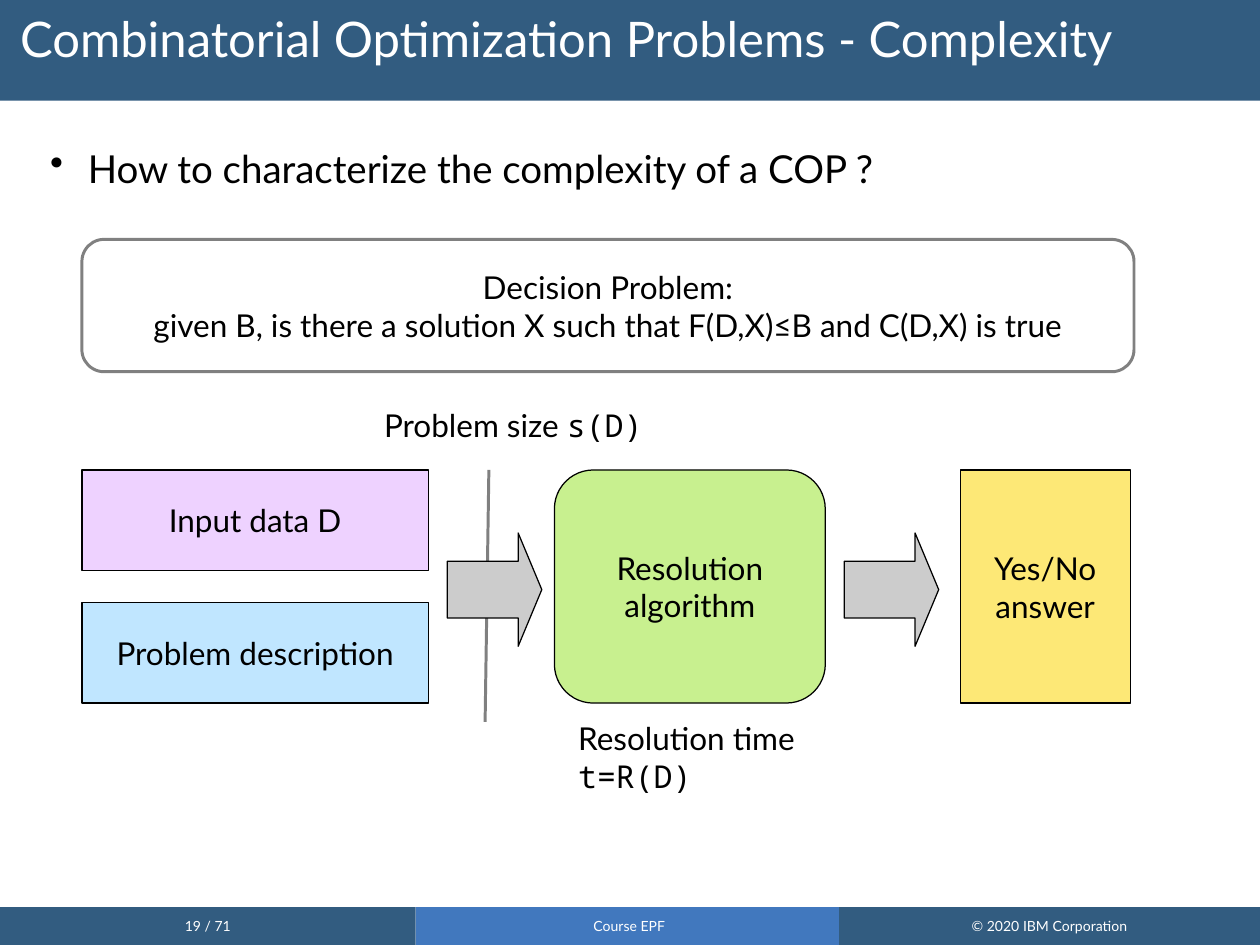
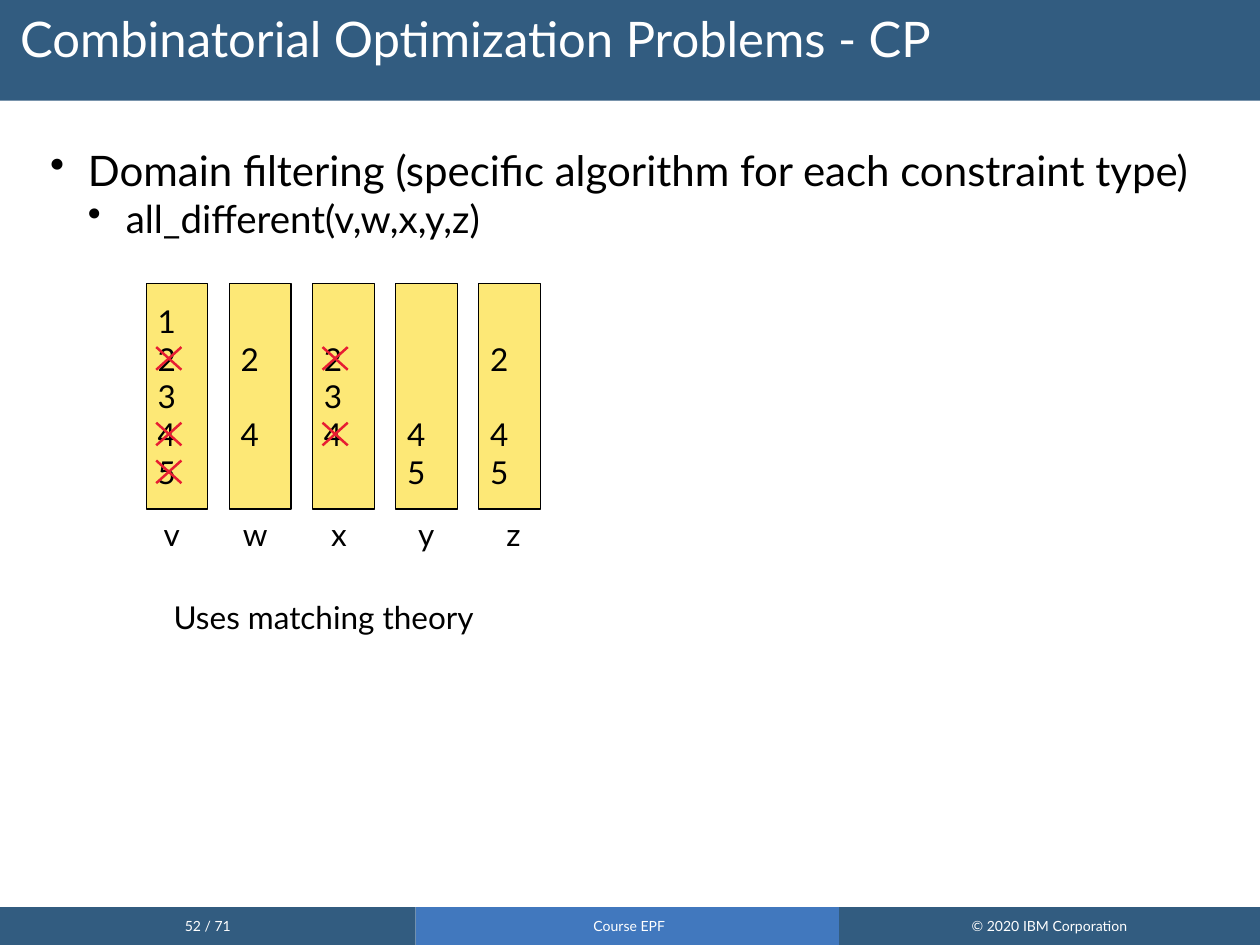
from dataclasses import dataclass

from lxml import etree
from pptx import Presentation
from pptx.dml.color import RGBColor
from pptx.enum.shapes import MSO_CONNECTOR, MSO_SHAPE
from pptx.enum.text import MSO_ANCHOR, MSO_AUTO_SIZE, PP_ALIGN
from pptx.oxml.ns import qn
from pptx.util import Inches, Pt


@dataclass(frozen=True)
class Theme:
    # Colours
    navy: str = "325C80"
    blue: str = "4178BE"
    white: str = "FFFFFF"
    black: str = "000000"
    grey: str = "808080"
    silver: str = "CCCCCC"
    lilac: str = "EED2FF"
    sky: str = "C0E6FF"
    green: str = "C8F08F"
    yellow: str = "FDE876"
    red: str = "E71D32"
    # Fonts and sizes
    font: str = "Lato"
    mono: str = "Noto Sans Mono"
    title: int = 28
    lead: int = 24
    bullet: int = 22
    body: int = 18
    footer: int = 8
    # Line widths
    thin: float = 0.71
    cross: float = 1.42
    thick: float = 1.7


T = Theme()
INSETS = (0.1, 0.05, 0.1, 0.05)


def rgb(colour):
    return RGBColor.from_string(colour)


def inches(box):
    return [Inches(v) for v in box]


def set_frame(tf, insets=INSETS, anchor=MSO_ANCHOR.TOP):
    tf.word_wrap = True
    tf.auto_size = MSO_AUTO_SIZE.NONE
    tf.vertical_anchor = anchor
    tf.margin_left, tf.margin_top, tf.margin_right, tf.margin_bottom = inches(insets)


def set_font(font, size=T.body, colour=T.black, name=T.font):
    font.size, font.name = Pt(size), name
    font.color.rgb = rgb(colour)


def write(tf, lines, size=T.body, colour=T.black, align=PP_ALIGN.LEFT):
    tf.text = "\n".join(lines)
    for p in tf.paragraphs:
        p.alignment = align
        set_font(p.font, size, colour)


def add_box(s, box, fill, lines=(), line=T.black, width=T.thin,
            kind=MSO_SHAPE.RECTANGLE, size=T.body, colour=T.black):
    sp = s.shapes.add_shape(kind, *inches(box))
    sp.shadow.inherit = False
    sp.fill.solid()
    sp.fill.fore_color.rgb = rgb(fill)
    if line:
        sp.line.color.rgb = rgb(line)
        sp.line.width = Pt(width)
    else:
        sp.line.fill.background()
    if lines:
        set_frame(sp.text_frame, anchor=MSO_ANCHOR.MIDDLE)
        write(sp.text_frame, lines, size, colour, PP_ALIGN.CENTER)
    return sp


def add_text(s, box, lines=()):
    tf = s.shapes.add_textbox(*inches(box)).text_frame
    set_frame(tf)
    write(tf, lines)
    return tf


def add_line(shapes, ends, colour, width):
    cn = shapes.add_connector(MSO_CONNECTOR.STRAIGHT, *inches(ends))
    cn.line.color.rgb = rgb(colour)
    cn.line.width = Pt(width)
    etree.SubElement(cn.element.spPr, qn("a:effectLst"))


def add_bullets(s, box, items):
    """Each item is (text, size); every item sits one level deeper."""
    tf = add_text(s, box, [text for text, _ in items])
    for level, (p, (_, size)) in enumerate(zip(tf.paragraphs, items)):
        p.level = level
        pPr = p._p.get_or_add_pPr()
        pPr.set("marL", str(Inches(0.3 * (level + 1))))
        pPr.set("indent", str(Inches(-0.3)))
        bullet = etree.Element(qn("a:buChar"), char="•")
        pPr.insert(0, bullet)
        set_font(p.font, size)


def add_slide(prs, title, number):
    s = prs.slides.add_slide(prs.slide_layouts[5])
    # Title on its band
    band = add_box(s, (-0.1, -0.1, 10.2, 0.9), T.navy, line=None)
    ph = s.shapes.title
    ph.element.addprevious(band.element)
    ph.left, ph.top, ph.width, ph.height = inches((0, 0, 10, 0.8))
    set_frame(ph.text_frame, (0.16, 0.12, 0.1, 0.05))
    write(ph.text_frame, [title], T.title, T.white)
    ph.text_frame.paragraphs[0].line_spacing = 0.9
    # Footer
    for left, width, fill, text in (
            (0, 3.3, T.navy, f"{number} / 71"),
            (3.3, 3.39, T.blue, "Course EPF"),
            (6.66, 3.34, T.navy, "© 2020 IBM Corporation")):
        add_box(s, (left, 7.2, width, 0.3), fill, [text], line=None,
                size=T.footer, colour=T.white)
    return s


def add_flow(s, left, top):
    """Inputs, algorithm and answer, joined by block arrows."""
    height = 1.85
    for i, (text, fill) in enumerate((("Input data D", T.lilac),
                                      ("Problem description", T.sky))):
        add_box(s, (left, top + 1.05 * i, 2.75, 0.8), fill, [text])
    add_box(s, (left + 3.75, top, 2.15, height), T.green,
            ["Resolution", "algorithm"], kind=MSO_SHAPE.ROUNDED_RECTANGLE)
    add_box(s, (left + 6.97, top, 1.35, height), T.yellow, ["Yes/No", "answer"])
    # Cut where the size is measured
    add_line(s.shapes, (left + 3.23, top, left + 3.2, top + 2), T.grey, T.thick)
    for x in (2.9, 6.05):
        arrow = add_box(s, (left + x, top + 0.5, 0.75, 0.9), T.silver,
                        kind=MSO_SHAPE.RIGHT_ARROW)
        arrow.adjustments[1] = 0.25
    # Captions
    p = add_text(s, (left + 2.3, top - 0.56, 2.33, 0.4), ["Problem size "]).paragraphs[0]
    r = p.add_run()
    r.text = "s(D)"
    r.font.name = T.mono
    tf = add_text(s, (left + 3.84, top + 1.93, 2.04, 0.7),
                  ["Resolution time", "t=R(D)"])
    tf.paragraphs[1].font.name = T.mono


def add_cross(s, x, y):
    w, h = 0.1, 0.09
    shapes = s.shapes.add_group_shape().shapes
    for slope in (h, -h):
        add_line(shapes, (x - w, y - slope, x + w, y + slope), T.red, T.cross)


def add_domains(s, left, top):
    """One column of values per variable; the crossed values are filtered out."""
    pitch, row, pad = 0.66, 0.3, 0.145
    domains = (("12345", "245"), ("24", ""), ("234", "24"), ("45", ""), ("245", ""))
    for i, (values, crossed) in enumerate(domains):
        x = left + pitch * i
        tf = add_box(s, (x, top, 0.49, 1.79), T.yellow).text_frame
        rows = [int(v) for v in values]
        set_frame(tf, (0.09, pad + row * (rows[0] - 1), 0.09, 0))
        write(tf, values)
        for p, before, after in zip(tf.paragraphs[1:], rows, rows[1:]):
            p.space_before = Inches(row * (after - before - 1))
        for v in crossed:
            add_cross(s, x + 0.18, top + pad + row * (int(v) - 0.5))
    # Variable names
    p = add_text(s, (left + 0.04, top + 1.79, 3.11, 0.4), ["v\tw\tx\ty\tz"]).paragraphs[0]
    tabs = etree.Element(qn("a:tabLst"))
    for stop in (0.63, 1.33, 2.02, 2.72):
        etree.SubElement(tabs, qn("a:tab"), pos=str(Inches(stop)), algn="l")
    p._p.get_or_add_pPr().insert(0, tabs)


def build_complexity(prs):
    s = add_slide(prs, "Combinatorial Optimization Problems - Complexity", 19)
    add_bullets(s, (0.3, 1.1, 9.3, 0.75),
                [("How to characterize the complexity of a COP ?", T.bullet)])
    add_flow(s, 0.65, 3.73)
    add_box(s, (0.65, 1.9, 8.35, 1.05), T.white,
            ["Decision Problem:",
             "given B, is there a solution X such that F(D,X)≤B and C(D,X) is true"],
            line=T.grey, width=T.thick, kind=MSO_SHAPE.ROUNDED_RECTANGLE)


def build_filtering(prs):
    s = add_slide(prs, "Combinatorial Optimization Problems - CP", 52)
    add_bullets(s, (0.3, 1.1, 9.6, 5.9),
                [("Domain filtering (specific algorithm for each constraint type)", T.lead),
                 ("all_different(v,w,x,y,z)", T.bullet)])
    add_domains(s, 1.16, 2.25)
    add_text(s, (1.28, 4.7, 2.77, 0.4), ["Uses matching theory"])


def main():
    prs = Presentation()
    prs.slide_width, prs.slide_height = Inches(10), Inches(7.5)
    build_complexity(prs)
    build_filtering(prs)
    prs.save("out.pptx")


if __name__ == "__main__":
    main()
